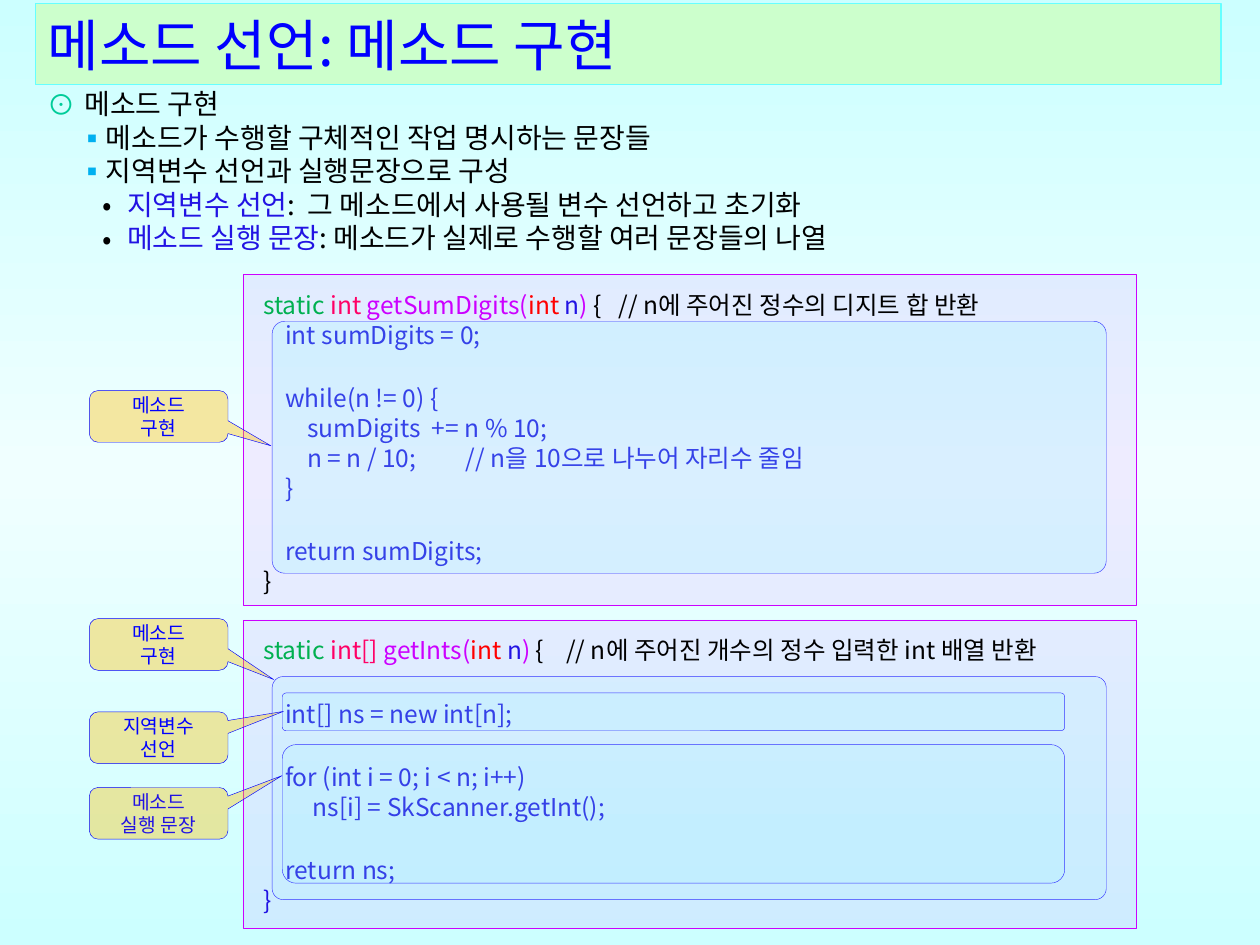
"""Build the slide on implementing a method."""
from copy import deepcopy
from typing import NamedTuple

from lxml import etree
from pptx import Presentation
from pptx import util as u
from pptx.dml.color import RGBColor
from pptx.enum import shapes, text
from pptx.oxml import ns

FACE = "Noto Sans CJK KR"
BLACK = RGBColor(0, 0, 0)
BLUE = RGBColor(0, 0, 255)
INDIGO = RGBColor(0x22, 0x13, 0xE3)
EDGE = RGBColor(0x33, 0x33, 0xFF)
GREEN = RGBColor(0, 0xB0, 0x50)
ROSE = RGBColor(0xFF, 0, 0x66)
RED = RGBColor(0xFF, 0, 0)
PURPLE = RGBColor(0xCC, 0, 0xFF)
VIOLET = RGBColor(0xDD, 0x4B, 0xFF)
AQUA = RGBColor(0x85, 0xFF, 0xFF)
AMBER = RGBColor(0xFF, 0xC0, 0)
MINT = RGBColor(0xCC, 0xFF, 0xCC)
CYAN = RGBColor(0x66, 0xFF, 0xFF)
TEAL = RGBColor(0, 0xCC, 0x99)
SKY = RGBColor(0, 0xB0, 0xF0)
PALE = RGBColor(0xCC, 0xFF, 0xFF)
LIGHT = RGBColor(0xF0, 0xFF, 0xFF)


class Run(NamedTuple):
    text: str
    color: RGBColor = INDIGO


class Line(NamedTuple):
    runs: list[Run]
    gap: float = 0


class Mark(NamedTuple):
    sign: str
    color: RGBColor
    left: float
    hang: float


class Item(NamedTuple):
    level: int
    runs: list[Run]


class Method(NamedTuple):
    top: float
    height: float
    lines: list[Line]


class Frame(NamedTuple):
    left: float
    top: float
    width: float
    height: float
    curve: float
    alpha: int


class Callout(NamedTuple):
    top: float
    tip: tuple[float, float]
    words: list[str]
    color: RGBColor = BLUE


def code(line: str, gap: float = 0) -> Line:
    return Line([Run(line)], gap)


GAP = 19.2
MARKS = [
    Mark("⊙", TEAL, 0.29, 0.29),
    Mark("▪", SKY, 0.46, 0.22),
    Mark("•", BLACK, 0.63, 0.2),
]
ITEMS = [
    Item(0, [Run("메소드 구현", BLACK)]),
    Item(1, [Run("메소드가 수행할 구체적인 작업 명시하는 문장들", BLACK)]),
    Item(1, [Run("지역변수 선언과 실행문장으로 구성", BLACK)]),
    Item(2, [Run("지역변수 선언"), Run(":  그 메소드에서 사용될 변수 선언하고 초기화", BLACK)]),
    Item(2, [Run("메소드 실행 문장"), Run(": 메소드가 실제로 수행할 여러 문장들의 나열", BLACK)]),
]


def head(kind: str, name: str, note: str) -> Line:
    return Line([Run("static ", GREEN), Run(kind, ROSE), Run(name, PURPLE), Run("int ", RED),
                 Run("n"), Run(") ", PURPLE), Run(note, BLACK)])


METHODS = [
    Method(2.18, 2.62, [
        head("int ", "getSumDigits(", "{   // n에 주어진 정수의 디지트 합 반환"),
        code("    int sumDigits = 0;"),
        code("    while(n != 0) {", GAP),
        code("        sumDigits  += n % 10;"),
        code("        n = n / 10;         // n을 10으로 나누어 자리수 줄임"),
        code("    }"),
        code("    return sumDigits;", GAP),
        Line([Run("}", BLACK)]),
    ]),
    Method(4.92, 2.45, [
        head("int[] ", "getInts(", "{    // n에 주어진 개수의 정수 입력한 int 배열 반환"),
        code("    int[] ns = new int[n];", GAP),
        code("    for (int i = 0; i < n; i++)", GAP),
        code("         ns[i] = SkScanner.getInt();"),
        code("    return ns;", GAP),
        code("}"),
    ]),
]
FRAMES = [
    Frame(2.16, 2.55, 6.62, 2, 0.05, 20),
    Frame(2.16, 5.37, 6.62, 1.77, 0.05, 10),
    Frame(2.24, 5.91, 6.21, 1.1, 0.1, 10),
    Frame(2.24, 5.5, 6.21, 0.3, 0.1, 10),
]
CALLOUTS = [
    Callout(3.1, (0.81, 0.57), ["메소드", "구현"]),
    Callout(4.91, (0.83, 0.68), ["메소드", "구현"]),
    Callout(5.65, (0.9, -0.51), ["지역변수", "선언"]),
    Callout(6.25, (0.89, -0.73), ["메소드", "실행 문장"], INDIGO),
]


def place(shape, left: float, top: float, width: float, height: float) -> None:
    shape.left, shape.top = u.Inches(left), u.Inches(top)
    shape.width, shape.height = u.Inches(width), u.Inches(height)


def paint(shape, fill: RGBColor, line: RGBColor, alpha: int = 100, width: float = 0.25) -> None:
    shape.fill.solid()
    shape.fill.fore_color.rgb = fill
    if alpha < 100:
        tone = shape.fill._xPr.find(".//" + ns.qn("a:srgbClr"))
        etree.SubElement(tone, ns.qn("a:alpha"), val=str(alpha * 1000))
    shape.line.color.rgb = line
    shape.line.width = u.Pt(width)


def draw(slide, kind, box: tuple, fill: RGBColor, line: RGBColor, alpha: int):
    shape = slide.shapes.add_shape(kind, *map(u.Inches, box))
    shape.shadow.inherit = False
    paint(shape, fill, line, alpha)
    return shape


def setup(frame, anchor, left: float = 0, top: float = 0, base: float = 0) -> None:
    frame.word_wrap = True
    frame.auto_size = text.MSO_AUTO_SIZE.NONE
    frame.vertical_anchor = anchor
    frame.margin_left, frame.margin_right = u.Inches(left), 0
    frame.margin_top, frame.margin_bottom = u.Inches(top), u.Inches(base)


def write(para, runs: list[Run], size: float) -> None:
    for item in runs:
        run = para.add_run()
        run.text = item.text
        run.font.size = u.Pt(size)
        run.font.color.rgb = item.color
        run.font.name = FACE
        etree.SubElement(run._r.get_or_add_rPr(), ns.qn("a:ea"), typeface=FACE)


def fill_text(frame, lines: list[Line], size: float, pitch: float, align) -> list:
    for i, line in enumerate(lines):
        para = frame.add_paragraph() if i else frame.paragraphs[0]
        para.alignment = align
        para.line_spacing = u.Pt(pitch)
        para.space_before = u.Pt(line.gap)
        write(para, line.runs, size)
    return list(frame.paragraphs)


def bullet(para, mark: Mark) -> None:
    prop = para._p.get_or_add_pPr()
    prop.set("marL", str(u.Inches(mark.left)))
    prop.set("indent", str(-u.Inches(mark.hang)))
    tone = etree.SubElement(prop, ns.qn("a:buClr"))
    etree.SubElement(tone, ns.qn("a:srgbClr"), val=str(mark.color))
    etree.SubElement(prop, ns.qn("a:buFont"), typeface=FACE)
    etree.SubElement(prop, ns.qn("a:buChar"), char=mark.sign)


def shade(slide) -> None:
    fill = slide.background.fill
    fill.gradient()
    fill.gradient_angle = 90
    stops = slide._element.find(".//" + ns.qn("a:gsLst"))
    stops.insert(1, deepcopy(stops[0]))
    for stop, spot, color in zip(fill.gradient_stops, (0, 0.5, 1), (PALE, LIGHT, PALE)):
        stop.position, stop.color.rgb = spot, color


def main() -> None:
    deck = Presentation()
    deck.slide_width, deck.slide_height = u.Inches(10), u.Inches(7.5)
    slide = deck.slides.add_slide(deck.slide_layouts[1])
    shade(slide)
    left, top, mid = text.PP_ALIGN.LEFT, text.MSO_ANCHOR.TOP, text.MSO_ANCHOR.MIDDLE
    kinds = shapes.MSO_SHAPE

    title, body = slide.shapes.title, slide.placeholders[1]
    place(title, 0.28, 0.03, 9.41, 0.64)
    paint(title, MINT, CYAN, width=0.75)
    setup(title.text_frame, mid, 0.1)
    title.text_frame.paragraphs[0].alignment = left
    write(title.text_frame.paragraphs[0], [Run("메소드 선언: 메소드 구현", BLUE)], 32)

    place(body, 0.28, 0.63, 9.65, 1.75)
    setup(body.text_frame, top, 0.1, 0.06)
    paras = fill_text(body.text_frame, [Line(item.runs) for item in ITEMS], 16, 19.1, left)
    for para, item in zip(paras, ITEMS):
        para.level = item.level
        bullet(para, MARKS[item.level])

    for part in METHODS:
        box = draw(slide, kinds.RECTANGLE, (1.93, part.top, 7.09, part.height), VIOLET, PURPLE, 10)
        setup(box.text_frame, top, 0.16, 0.12, 0.05)
        fill_text(box.text_frame, part.lines, 14, 17, left)
    for part in FRAMES:
        box = draw(slide, kinds.ROUNDED_RECTANGLE, part[:4], AQUA, EDGE, part.alpha)
        box.adjustments[0] = part.curve
    for part in CALLOUTS:
        box = draw(slide, kinds.ROUNDED_RECTANGULAR_CALLOUT, (0.71, part.top, 1.1, 0.41), AMBER, BLUE, 37)
        box.adjustments[0], box.adjustments[1] = part.tip
        setup(box.text_frame, mid)
        lines = [Line([Run(word, part.color)]) for word in part.words]
        fill_text(box.text_frame, lines, 11, 13.1, text.PP_ALIGN.CENTER)
    deck.save("out.pptx")


if __name__ == "__main__":
    main()
